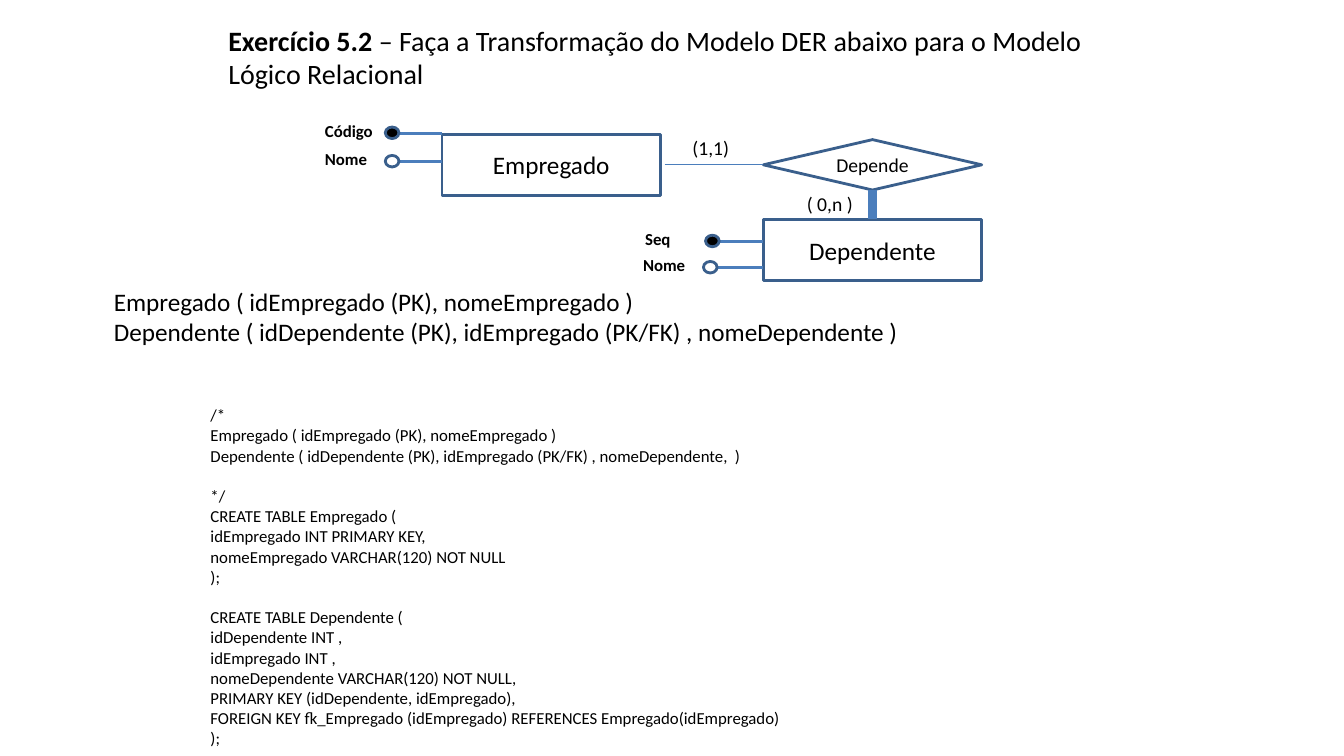
from dataclasses import dataclass
from pptx import Presentation, util as u
from pptx.dml.color import RGBColor
from pptx.enum import shapes as sh, text as tx
from pptx.oxml.ns import qn
from lxml import etree

PX = 9525


@dataclass(frozen=True)
class Theme:
    font: str = "Calibri"
    ink: str = "000000"
    paper: str = "FFFFFF"
    edge: str = "3A5F8C"
    link: str = "4B7EBC"
    head: int = 20
    body: int = 18
    mid: int = 14
    small: int = 12


T = Theme()

SCHEMA = """Empregado ( idEmpregado (PK), nomeEmpregado )
Dependente ( idDependente (PK), idEmpregado (PK/FK) , nomeDependente )"""

SQL = """/*
Empregado ( idEmpregado (PK), nomeEmpregado )
Dependente ( idDependente (PK), idEmpregado (PK/FK) , nomeDependente,  )

*/
CREATE TABLE Empregado (
idEmpregado INT PRIMARY KEY,
nomeEmpregado VARCHAR(120) NOT NULL
);

CREATE TABLE Dependente (
idDependente INT ,
idEmpregado INT ,
nomeDependente VARCHAR(120) NOT NULL,
PRIMARY KEY (idDependente, idEmpregado),
FOREIGN KEY fk_Empregado (idEmpregado) REFERENCES Empregado(idEmpregado)
);"""


def px(*vals):
    return [u.Emu(v * PX) for v in vals]


def rgb(code):
    return RGBColor.from_string(code)


def style(run, size, bold=False):
    run.font.name = T.font
    run.font.size = u.Pt(size)
    run.font.bold = bold
    run.font.color.rgb = rgb(T.ink)


def write(slide, box, words, size, bold=False, wrap=True):
    """Add a text box with a paragraph per line; an empty line becomes a gap."""
    frame = slide.shapes.add_textbox(*px(*box)).text_frame
    frame.word_wrap = wrap
    gap = False
    for i, line in enumerate(words.split("\n")):
        if not line:
            gap = True
            continue
        para = frame.add_paragraph() if i else frame.paragraphs[0]
        para.text = line
        if gap:
            para.space_before = u.Pt(size * 1.21)
            gap = False
        style(para.runs[0], size, bold)
    return frame


def shape(slide, kind, box, fill=None):
    item = slide.shapes.add_shape(kind, *px(*box))
    item.shadow.inherit = False
    if fill:
        item.fill.solid()
        item.fill.fore_color.rgb = rgb(fill)
    else:
        item.fill.background()
    item.line.color.rgb = rgb(T.edge)
    item.line.width = u.Pt(2)
    return item


def node(slide, kind, box, name, size):
    item = shape(slide, kind, box, T.paper)
    frame = item.text_frame
    frame.vertical_anchor = tx.MSO_ANCHOR.MIDDLE
    para = frame.paragraphs[0]
    para.text = name
    para.alignment = tx.PP_ALIGN.CENTER
    style(para.runs[0], size)
    return item


def link(slide, ends, width):
    line = slide.shapes.add_connector(sh.MSO_CONNECTOR.STRAIGHT, *px(*ends))
    line.line.color.rgb = rgb(T.link)
    line.line.width = u.Pt(width)
    etree.SubElement(line._element.spPr, qn("a:effectLst"))
    return line


def entity(slide, box, name, fields):
    """Draw an entity; each field is (label, label width, dot offset, y, key)."""
    left, top = box[:2]
    item = node(slide, sh.MSO_SHAPE.RECTANGLE, box, name, T.body)
    for label, wide, back, drop, key in fields:
        x, y = left - back, top + drop
        link(slide, (x + 13, y, left, y), 2)
        shape(slide, sh.MSO_SHAPE.FLOWCHART_CONNECTOR, (x, y - 6, 13, 11),
              T.ink if key else None)
        write(slide, (x - 67, y - 17, wide, 29), label, T.small, True, False)
    return item


def diagram(slide, box):
    x, y, w, h = box
    wide, high = 208, 58
    right = x + w - wide
    entity(slide, (x, y, wide, high), "Empregado",
           [("Código", 66, 54, -1, True), ("Nome", 60, 54, 26, False)])
    child = entity(slide, (right, y + h - high, wide, high), "Dependente",
                   [("Seq", 44, 55, 21, True), ("Nome", 60, 57, 46, False)])
    tie = node(slide, sh.MSO_SHAPE.FLOWCHART_DECISION,
               (right, y + 5, wide, 48), "Depende", T.mid)
    one = link(slide, (x + wide + 4, y + 29, right, y + 29), 0.75)
    one.end_connect(tie, 1)
    many = link(slide, (right + 104, y + 53, right + 104, y + 81), 6)
    many.begin_connect(tie, 2)
    many.end_connect(child, 0)
    write(slide, (x + 229, y - 3, 55, 32), "(1,1)", T.mid, wrap=False)
    write(slide, (x + 338, y + 50, 63, 32), "( 0,n )", T.mid, wrap=False)


def title(slide, box):
    frame = write(slide, box, "Exercício 5.2", T.head, True)
    frame.vertical_anchor = tx.MSO_ANCHOR.MIDDLE
    run = frame.paragraphs[0].add_run()
    run.text = " – Faça a Transformação do Modelo DER abaixo para o Modelo Lógico Relacional"
    style(run, T.head)


def main():
    deck = Presentation()
    deck.slide_width, deck.slide_height = px(1280, 720)
    slide = deck.slides.add_slide(deck.slide_layouts[6])
    title(slide, (208, 12, 864, 84))
    diagram(slide, (421, 128, 514, 139))
    write(slide, (99, 268, 851, 68), SCHEMA, T.body)
    write(slide, (191, 381, 864, 339), SQL, T.small)
    deck.save("out.pptx")


if __name__ == "__main__":
    main()
